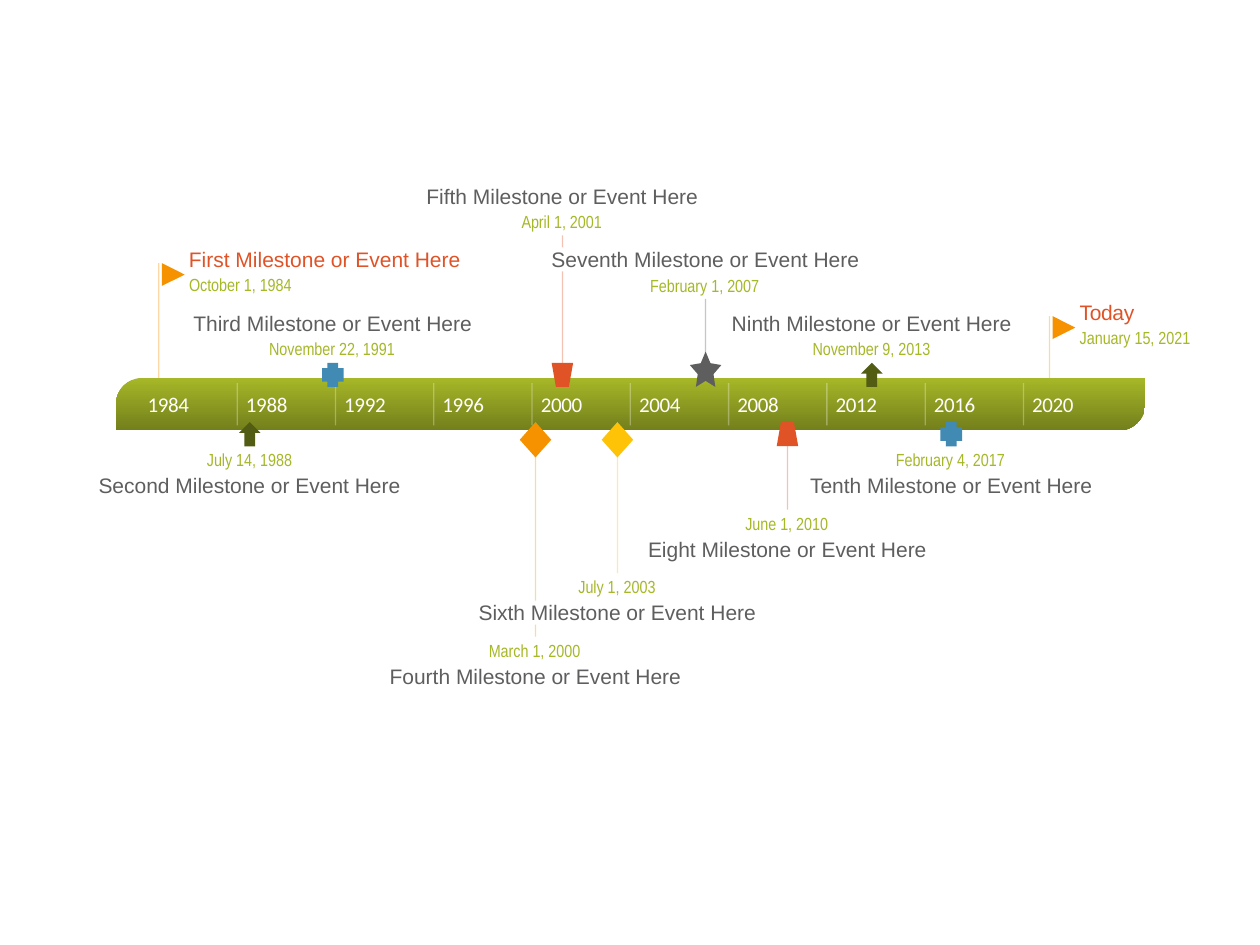
"""Build a one-slide milestone timeline from 1984 to 2021."""
from dataclasses import dataclass

from lxml import etree
from pptx import Presentation
from pptx.dml.color import RGBColor
from pptx.enum import shapes, text
from pptx.oxml.ns import qn
from pptx.util import Pt

MSO = shapes.MSO_SHAPE
ALIGN = text.PP_ALIGN


@dataclass(frozen=True)
class Theme:
    white: str = "FFFFFF"
    green: str = "A6B727"
    olive: str = "737F1C"
    dark: str = "535C13"
    red: str = "DF5327"
    orange: str = "F69200"
    yellow: str = "FEC306"
    blue: str = "418AB3"
    gray: str = "5E5E5E"
    title_font: str = "Arial"
    date_font: str = "Arial Narrow"
    year_font: str = "Calibri"
    title_size: int = 12
    date_size: int = 10


T = Theme()
SMALL, LARGE = (12.3, 13.8), (18, 20.2)
BAR_LEFT, BAR_TOP, BAR_WIDTH, BAR_HEIGHT = 66.3, 216, 588, 30
YEAR_STEP = 56.16
LEVEL_STEP = 36.3
TITLE_HEIGHT, DATE_HEIGHT = 13.7, 11.5


@dataclass(frozen=True)
class Milestone:
    title: str
    date: str
    x: float
    title_width: float
    date_width: float
    above: bool
    level: int
    marker: MSO
    size: tuple
    color: str
    crossed_level: int = -1

    def title_top(self, level):
        return 177.7 - LEVEL_STEP * level if self.above else 270.6 + LEVEL_STEP * level

    @property
    def date_top(self):
        return self.title_top(self.level) + (15.9 if self.above else -13.7)

    @property
    def marker_top(self):
        return 221.1 - self.size[1] if self.above else 241.2


MILESTONES = [
    Milestone("Third Milestone or Event Here", "November 22, 1991", 190.2, 159.8, 72.7,
              True, 0, MSO.CROSS, SMALL, T.blue),
    Milestone("Fifth Milestone or Event Here", "April 1, 2001", 321.4, 156.2, 46.8,
              True, 2, MSO.FLOWCHART_MANUAL_OPERATION, SMALL, T.red, 1),
    Milestone("Seventh Milestone or Event Here", "February 1, 2007", 403.2, 177.1, 63.4,
              True, 1, MSO.STAR_5_POINT, LARGE, T.gray),
    Milestone("Ninth Milestone or Event Here", "November 9, 2013", 498.2, 161.3, 67.7,
              True, 0, MSO.UP_ARROW, SMALL, T.dark),
    Milestone("Second Milestone or Event Here", "July 14, 1988", 142.7, 172.8, 49,
              False, 0, MSO.UP_ARROW, SMALL, T.dark),
    Milestone("Fourth Milestone or Event Here", "March 1, 2000", 306, 167, 53.3,
              False, 3, MSO.DIAMOND, LARGE, T.orange, 2),
    Milestone("Sixth Milestone or Event Here", "July 1, 2003", 352.8, 159.1, 44.6,
              False, 2, MSO.DIAMOND, LARGE, T.yellow),
    Milestone("Eight Milestone or Event Here", "June 1, 2010", 450, 159.8, 48.2,
              False, 1, MSO.FLOWCHART_MANUAL_OPERATION, SMALL, T.red),
    Milestone("Tenth Milestone or Event Here", "February 4, 2017", 543.6, 162, 63.4,
              False, 0, MSO.CROSS, SMALL, T.blue),
]

FLAGS = [
    ("First Milestone or Event Here", "October 1, 1984", 90.7, 141.1, 156.2, 59, 0),
    ("Today", "January 15, 2021", 599.7, 171.4, 33.1, 64.1, -20),
]


def add_line(s, x, top, bottom, color, opacity):
    line = s.shapes.add_connector(shapes.MSO_CONNECTOR.STRAIGHT, Pt(x), Pt(top), Pt(x), Pt(bottom))
    line.line.width = Pt(0.75)
    line.line.color.rgb = RGBColor.from_string(color)
    clr = line.line._ln.find(".//" + qn("a:srgbClr"))
    etree.SubElement(clr, qn("a:alpha")).set("val", str(opacity * 1000))
    etree.SubElement(line._element.spPr, qn("a:effectLst"))


def add_text(s, content, left, top, width, height, font, size, color,
             align=ALIGN.LEFT, spacing=0):
    tf = s.shapes.add_textbox(Pt(left), Pt(top), Pt(width), Pt(height)).text_frame
    tf.margin_left = tf.margin_right = tf.margin_top = tf.margin_bottom = 0
    tf.word_wrap = False
    tf.vertical_anchor = text.MSO_ANCHOR.MIDDLE
    p = tf.paragraphs[0]
    p.text = content
    p.alignment = align
    p.font.name = font
    p.font.size = Pt(size)
    p.font.color.rgb = RGBColor.from_string(color)
    if spacing:
        p.font._rPr.set("spc", str(spacing))


def add_shape(s, kind, left, top, width, height, color):
    sp = s.shapes.add_shape(kind, Pt(left), Pt(top), Pt(width), Pt(height))
    sp.shadow.inherit = False
    sp.line.fill.background()
    sp.fill.solid()
    sp.fill.fore_color.rgb = RGBColor.from_string(color)
    return sp


def add_title(s, content, left, top, width, color, align=ALIGN.LEFT, spacing=0):
    add_text(s, content, left, top, width, TITLE_HEIGHT, T.title_font, T.title_size,
             color, align, spacing)


def add_date(s, content, left, top, width):
    add_text(s, content, left, top, width, DATE_HEIGHT, T.date_font, T.date_size, T.green)


def add_stem(s, m):
    if m.level == 0:
        return
    middle = m.marker_top + m.size[1] / 2
    ends = [m.date_top + DATE_HEIGHT + 2, middle] if m.above else [middle, m.date_top - 2]
    if m.crossed_level >= 0:
        gap = m.title_top(m.crossed_level)
        ends[1:1] = [gap, gap + TITLE_HEIGHT]
    for top, bottom in zip(ends[::2], ends[1::2]):
        add_line(s, m.x, top, bottom, m.color, 35)


def add_bar(s):
    bar = add_shape(s, MSO.ROUND_2_DIAG_RECTANGLE, BAR_LEFT, BAR_TOP, BAR_WIDTH, BAR_HEIGHT, T.green)
    bar.adjustments[0] = 1
    bar.fill.gradient()
    bar.fill.gradient_angle = 270
    for stop, position, color in zip(bar.fill.gradient_stops, (0, 1), (T.green, T.olive)):
        stop.position = position
        stop.color.rgb = RGBColor.from_string(color)
    for i, year in enumerate(range(1984, 2021, 4)):
        x = 84.4 + YEAR_STEP * i
        if i:
            add_line(s, x - 5, 218.9, 243.1, T.white, 30)
        add_text(s, str(year), x, 223.9, 24.5, 14.4, T.year_font, T.title_size,
                 T.white, spacing=-20)


def add_milestone(s, m):
    add_title(s, m.title, m.x - m.title_width / 2, m.title_top(m.level), m.title_width,
              T.gray, ALIGN.CENTER)
    add_date(s, m.date, m.x - m.date_width / 2, m.date_top, m.date_width)
    width, height = m.size
    sp = add_shape(s, m.marker, m.x - width / 2, m.marker_top, width, height, m.color)
    if m.marker == MSO.STAR_5_POINT:
        sp.adjustments[0] = 0.25
    if m.marker == MSO.FLOWCHART_MANUAL_OPERATION and not m.above:
        sp._element.spPr.xfrm.set("flipV", "1")


def add_flag(s, title, date, x, top, title_width, date_width, spacing):
    add_title(s, title, x + 17.3, top, title_width, T.red, spacing=spacing)
    add_date(s, date, x + 17.3, top + 15.9, date_width)
    add_shape(s, MSO.FLOWCHART_MERGE, x + 1.8, top + 9.3, 13, 13, T.orange).rotation = 270


def main():
    prs = Presentation()
    prs.slide_width, prs.slide_height = Pt(720), Pt(540)
    s = prs.slides.add_slide(prs.slide_layouts[6])
    for m in MILESTONES:
        add_stem(s, m)
    for flag in FLAGS:
        add_line(s, flag[2], flag[3] + 9.3, BAR_TOP, T.orange, 35)
    add_bar(s)
    for flag in FLAGS:
        add_flag(s, *flag)
    for m in MILESTONES:
        add_milestone(s, m)
    prs.save("out.pptx")


if __name__ == "__main__":
    main()
